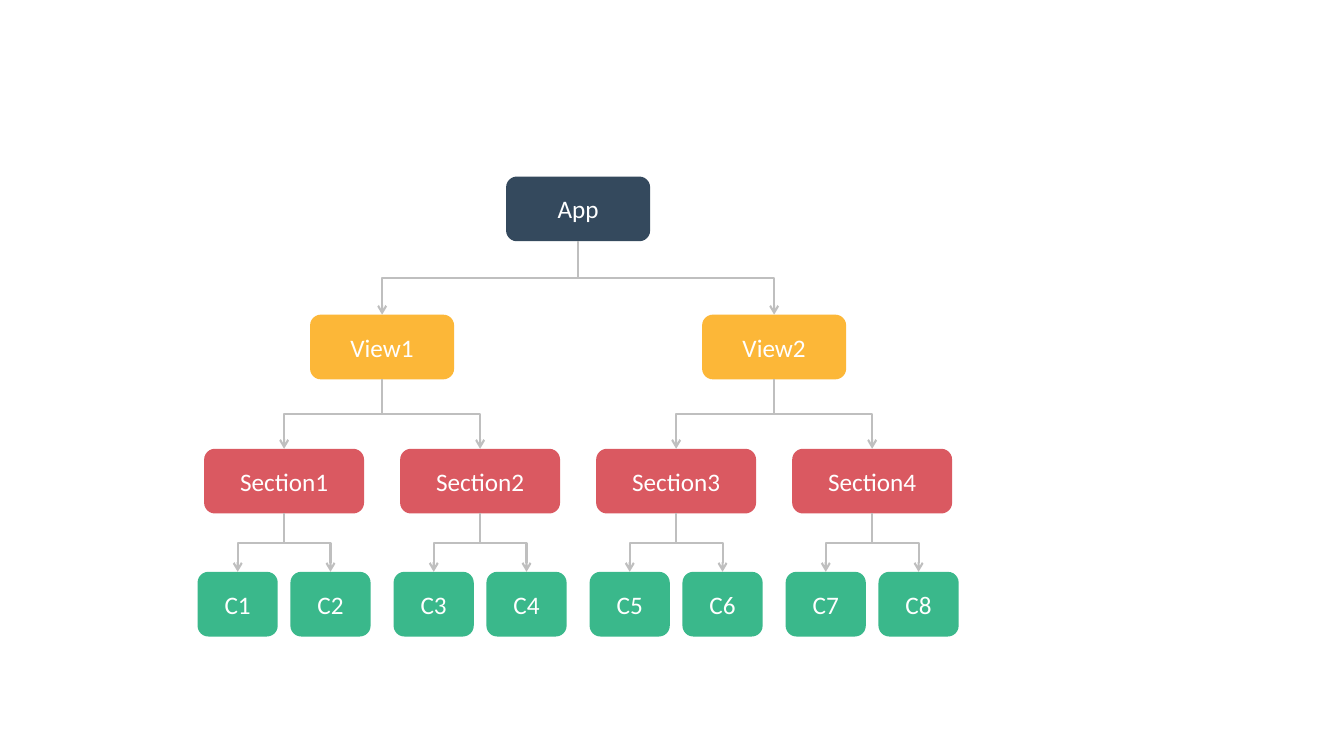
from dataclasses import dataclass
from typing import Any

from lxml import etree
from pptx import Presentation
from pptx.dml.color import RGBColor
from pptx.enum.shapes import MSO_CONNECTOR, MSO_SHAPE
from pptx.enum.text import MSO_ANCHOR, PP_ALIGN
from pptx.oxml.ns import qn
from pptx.util import Cm, Pt

ROUNDED = MSO_SHAPE.ROUNDED_RECTANGLE
ELBOW = MSO_CONNECTOR.ELBOW
CENTER = PP_ALIGN.CENTER
MIDDLE = MSO_ANCHOR.MIDDLE
BOTTOM_SITE, TOP_SITE = 2, 0

COLORS = {
    "app": "34495D",
    "view": "FCB738",
    "section": "DA5961",
    "component": "3AB88B",
    "line": "BFBFBF",
    "text": "FFFFFF",
}
FONT_FORMAT = {
    "name": "Calibri",
    "size": Pt(18),
}
ROOT_CENTER = 14.57
BOX_HEIGHT = 1.63


@dataclass(frozen=True)
class Level:
    """One row of the tree; offset is the distance from the parent's center."""
    color: str
    labels: list[str]
    top: float
    width: float
    offset: float
    grouped: bool = False


@dataclass(frozen=True)
class Node:
    shape: Any
    center: float
    container: Any


LEVELS = [
    Level("app", ["App"], 4.45, 3.63, 0),
    Level("view", ["View1", "View2"], 7.93, 3.63, 4.94),
    Level("section", [f"Section{n}" for n in range(1, 5)], 11.31, 4.03, 2.47, True),
    Level("component", [f"C{n}" for n in range(1, 9)], 14.41, 2.02, 1.17),
]


def add_box(container: Any, label: str, level: Level, center: float) -> Any:
    shape = container.add_shape(ROUNDED, Cm(center - level.width / 2), Cm(level.top),
                                Cm(level.width), Cm(BOX_HEIGHT))
    shape.shadow.inherit = False
    shape.fill.solid()
    shape.fill.fore_color.rgb = RGBColor.from_string(COLORS[level.color])
    shape.line.fill.background()
    shape.text_frame.vertical_anchor = MIDDLE
    paragraph = shape.text_frame.paragraphs[0]
    paragraph.alignment = CENTER
    run = paragraph.add_run()
    run.text = label
    for name, value in FONT_FORMAT.items():
        setattr(run.font, name, value)
    run.font.color.rgb = RGBColor.from_string(COLORS["text"])
    return shape


def add_arrow(shapes: Any, parent: Any, child: Any) -> None:
    start_x, start_y = parent.left + parent.width // 2, parent.top + parent.height
    end_x, end_y = child.left + child.width // 2, child.top
    connector = shapes.add_connector(ELBOW, start_x, start_y, end_x, end_y)
    connector.begin_connect(parent, BOTTOM_SITE)
    connector.end_connect(child, TOP_SITE)

    # Turn the elbow so that it leaves downwards
    drop, reach = end_y - start_y, abs(end_x - start_x)
    frame = {
        "left": (start_x + end_x - drop) // 2,
        "top": (start_y + end_y - reach) // 2,
        "width": drop,
        "height": reach,
    }
    for name, value in frame.items():
        setattr(connector, name, value)
    to_right = end_x > start_x
    properties = connector._element.spPr
    transform = properties.find(qn("a:xfrm"))
    transform.set("rot", "16200000" if to_right else "5400000")
    transform.set("flipH", "1" if to_right else "0")

    # Line and arrowhead
    connector.line.color.rgb = RGBColor.from_string(COLORS["line"])
    connector.line.width = Pt(1.5)
    line = properties.find(qn("a:ln"))
    etree.SubElement(line, qn("a:tailEnd"), type="arrow")
    etree.SubElement(properties, qn("a:effectLst"))


def main() -> None:
    presentation = Presentation()
    presentation.slide_width = Cm(33.87)
    presentation.slide_height = Cm(19.05)
    slide = presentation.slides.add_slide(presentation.slide_layouts[6])

    # Boxes, row by row: every parent has two children
    parents = [Node(None, ROOT_CENTER, slide.shapes)]
    links = []
    for level in LEVELS:
        nodes = []
        for index, label in enumerate(level.labels):
            parent = parents[index // 2]
            side = 1 if index % 2 else -1
            center = parent.center + side * level.offset
            container = (slide.shapes.add_group_shape().shapes if level.grouped
                         else parent.container)
            shape = add_box(container, label, level, center)
            nodes.append(Node(shape, center, container))
            if parent.shape is not None:
                links.append((parent.shape, shape))
        parents = nodes

    # Arrows on top
    for parent_shape, child_shape in links:
        add_arrow(slide.shapes, parent_shape, child_shape)

    presentation.save("out.pptx")


if __name__ == "__main__":
    main()
